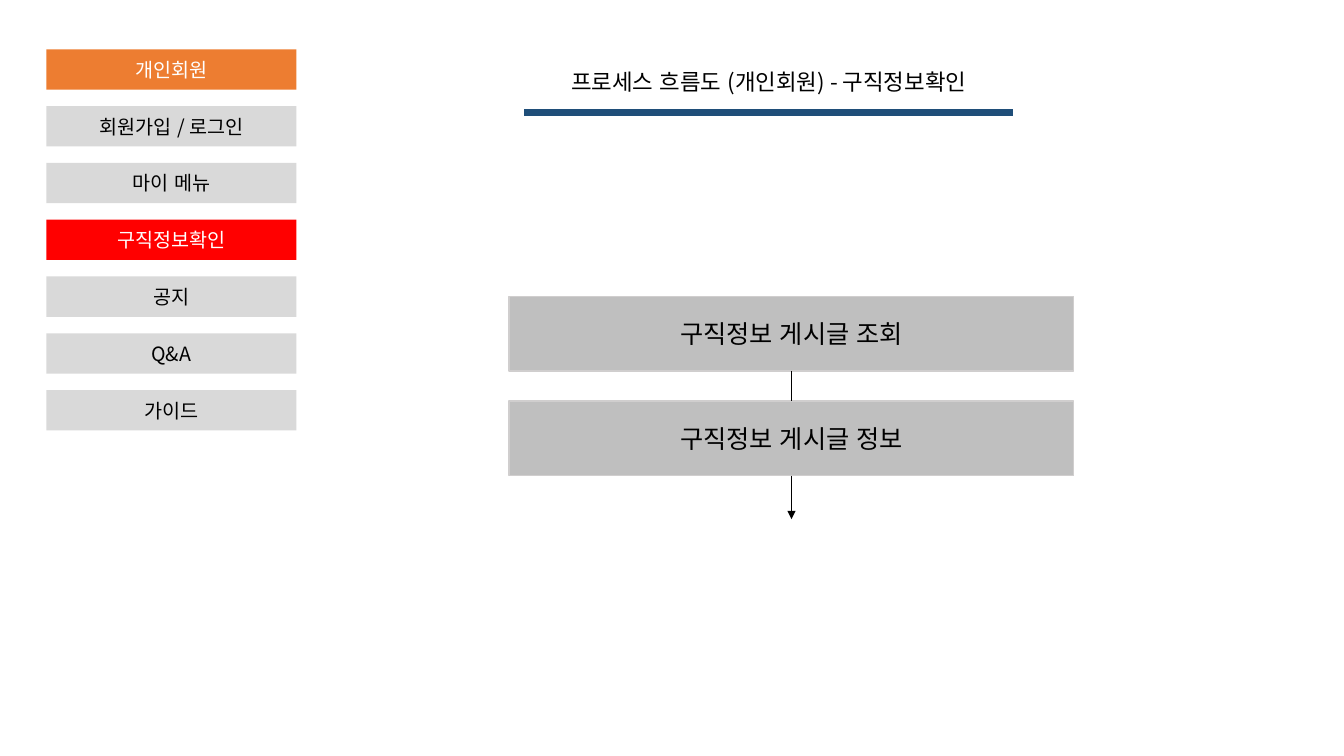
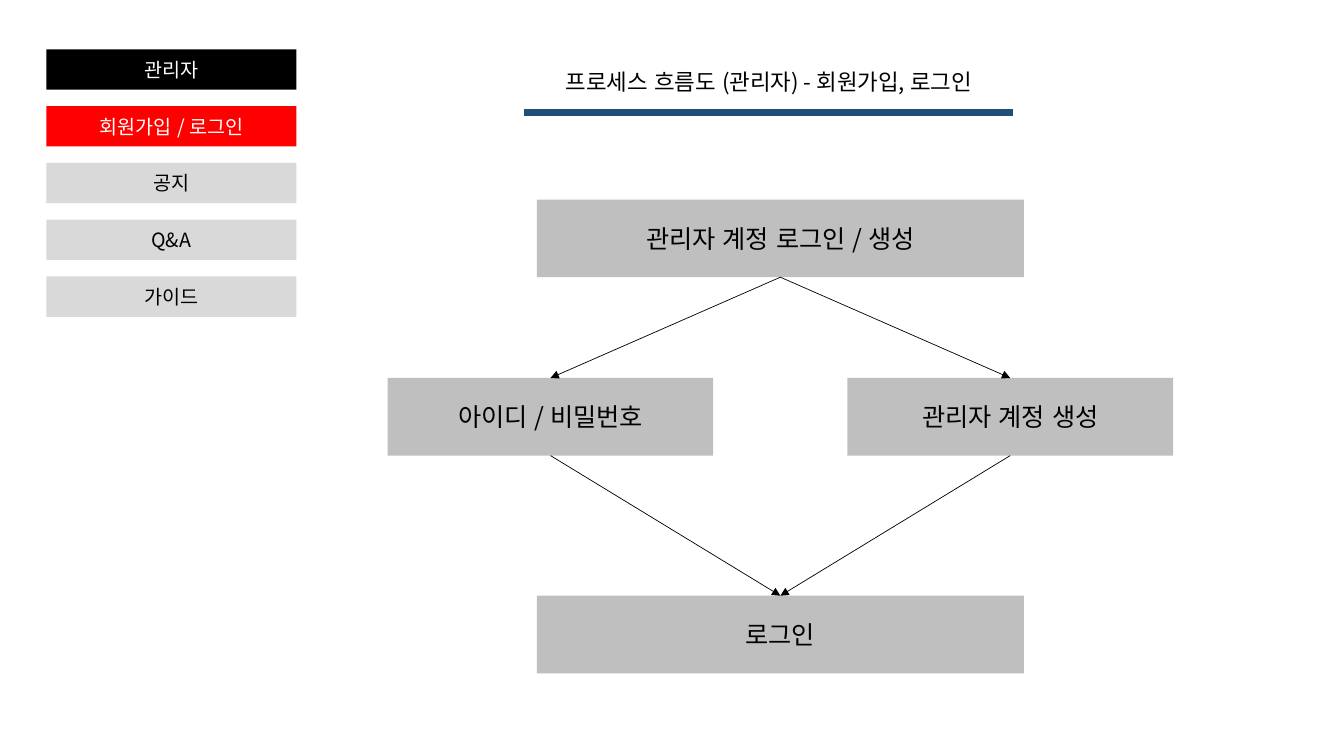
from lxml import etree
from pptx import Presentation
from pptx.dml.color import RGBColor
from pptx.enum.lang import MSO_LANGUAGE_ID as LANG
from pptx.enum.shapes import MSO_CONNECTOR, MSO_SHAPE
from pptx.enum.text import MSO_ANCHOR, MSO_AUTO_SIZE, PP_ALIGN
from pptx.oxml.ns import qn
from pptx.util import Inches, Pt

FONT = "Noto Sans CJK KR"
BLACK = RGBColor(0x00, 0x00, 0x00)
WHITE = RGBColor(0xFF, 0xFF, 0xFF)
RED = RGBColor(0xFF, 0x00, 0x00)
ORANGE = RGBColor(0xED, 0x7D, 0x31)
NAVY = RGBColor(0x1F, 0x4E, 0x79)
MENU_GRAY = RGBColor(0xD9, 0xD9, 0xD9)
BOX_GRAY = RGBColor(0xBF, 0xBF, 0xBF)
BORDER_GRAY = RGBColor(0xD0, 0xCE, 0xCE)

BOTTOM, TOP = 2, 0  # connection sites of a rectangle

# Menu column: left, top, width, height; the pitch sets the rows
MENU_LEFT, MENU_TOP, MENU_W, MENU_H = 0.46, 0.49, 2.48, 0.4
MENU_SPAN, MENU_GAPS = 3.38, 6
MENU_PITCH = MENU_SPAN / MENU_GAPS

# Content: boxes are (text, centre x, top, width, height),
# links are (from box, to box, arrowhead)
MID = 7.74
SIDE = 2.28
STACK_MID = 7.85

SLIDES = [
    {
        "title": "프로세스 흐름도 (개인회원) - 구직정보확인",
        "menu": ["개인회원", "회원가입 / 로그인", "마이 메뉴", "구직정보확인",
                 "공지", "Q&A", "가이드"],
        "role_color": ORANGE,
        "current": "구직정보확인",
        "border": BORDER_GRAY,
        "boxes": [
            ("구직정보 게시글 조회", STACK_MID, 2.94, 5.6, 0.74),
            ("구직정보 게시글 정보", STACK_MID, 3.98, 5.6, 0.74),
        ],
        "links": [(0, 1, False)],
        "exit": (1, 5.15),  # last box and the y its open arrow reaches
    },
    {
        "title": "프로세스 흐름도 (관리자) - 회원가입, 로그인",
        "menu": ["관리자", "회원가입 / 로그인", "공지", "Q&A", "가이드"],
        "role_color": BLACK,
        "current": "회원가입 / 로그인",
        "border": None,
        "boxes": [
            ("관리자 계정 로그인 / 생성", MID, 1.98, 4.83, 0.77),
            ("아이디 / 비밀번호", MID - SIDE, 3.75, 3.23, 0.77),
            ("관리자 계정 생성", MID + SIDE, 3.75, 3.23, 0.77),
            ("로그인", MID, 5.91, 4.83, 0.77),
        ],
        "links": [(0, 1, True), (0, 2, True), (1, 3, True), (2, 3, True)],
        "exit": None,
    },
]


def write(tf, text, size, color):
    """Put one centred line of text in a frame."""
    tf.word_wrap = True
    tf.vertical_anchor = MSO_ANCHOR.MIDDLE
    p = tf.paragraphs[0]
    p.alignment = PP_ALIGN.CENTER
    r = p.add_run()
    r.text = text
    r.font.size = Pt(size)
    r.font.name = FONT
    r.font.color.rgb = color
    r.font.language_id = LANG.KOREAN
    ea = etree.SubElement(r.font._element, qn("a:ea"))
    ea.set("typeface", FONT)


def add_box(s, text, left, top, width, height, fill, size, color, border=None):
    sp = s.shapes.add_shape(MSO_SHAPE.RECTANGLE, Inches(left), Inches(top),
                            Inches(width), Inches(height))
    sp.shadow.inherit = False
    sp.fill.solid()
    sp.fill.fore_color.rgb = fill
    if border is None:
        sp.line.fill.background()
    else:
        sp.line.color.rgb = border
        sp.line.width = Pt(1)
    write(sp.text_frame, text, size, color)
    return sp


def add_line(s, x1, y1, x2, y2, color=BLACK, width=0.5, arrow=False):
    line = s.shapes.add_connector(MSO_CONNECTOR.STRAIGHT, x1, y1, x2, y2)
    line.line.color.rgb = color
    line.line.width = Pt(width)
    if arrow:
        tail = etree.SubElement(line.line._get_or_add_ln(), qn("a:tailEnd"))
        tail.set("type", "triangle")
    etree.SubElement(line._element.spPr, qn("a:effectLst"))
    return line


def add_title(s, text):
    title = s.shapes.title
    title.left, title.top = Inches(5.2), Inches(0.62)
    title.width, title.height = Inches(4.85), Inches(0.37)
    write(title.text_frame, text, 16, BLACK)
    title.text_frame.auto_size = MSO_AUTO_SIZE.NONE
    add_line(s, Inches(5.2), Inches(1.12), Inches(10.05), Inches(1.12), NAVY, 5)


def add_menu(s, items, role_color, current):
    for i, text in enumerate(items):
        if i == 0:
            fill, color = role_color, WHITE
        elif text == current:
            fill, color = RED, WHITE
        else:
            fill, color = MENU_GRAY, BLACK
        add_box(s, text, MENU_LEFT, MENU_TOP + i * MENU_PITCH, MENU_W, MENU_H,
                fill, 14, color)


def add_flow(s, boxes, links, exit_arrow, border):
    nodes = [add_box(s, text, mid - w / 2, top, w, h, BOX_GRAY, 18, BLACK, border)
             for text, mid, top, w, h in boxes]
    for start, end, arrow in links:
        line = add_line(s, 0, 0, 0, 0, arrow=arrow)
        line.begin_connect(nodes[start], BOTTOM)
        line.end_connect(nodes[end], TOP)
    if exit_arrow:
        last, end_y = exit_arrow
        x = Inches(boxes[last][1])
        line = add_line(s, x, 0, x, Inches(end_y), arrow=True)
        line.begin_connect(nodes[last], BOTTOM)


def main():
    prs = Presentation()
    prs.slide_width, prs.slide_height = Inches(13.33), Inches(7.5)
    title_only = prs.slide_layouts[5]
    for page in SLIDES:
        s = prs.slides.add_slide(title_only)
        add_title(s, page["title"])
        add_menu(s, page["menu"], page["role_color"], page["current"])
        add_flow(s, page["boxes"], page["links"], page["exit"], page["border"])
    prs.save("out.pptx")


if __name__ == "__main__":
    main()
